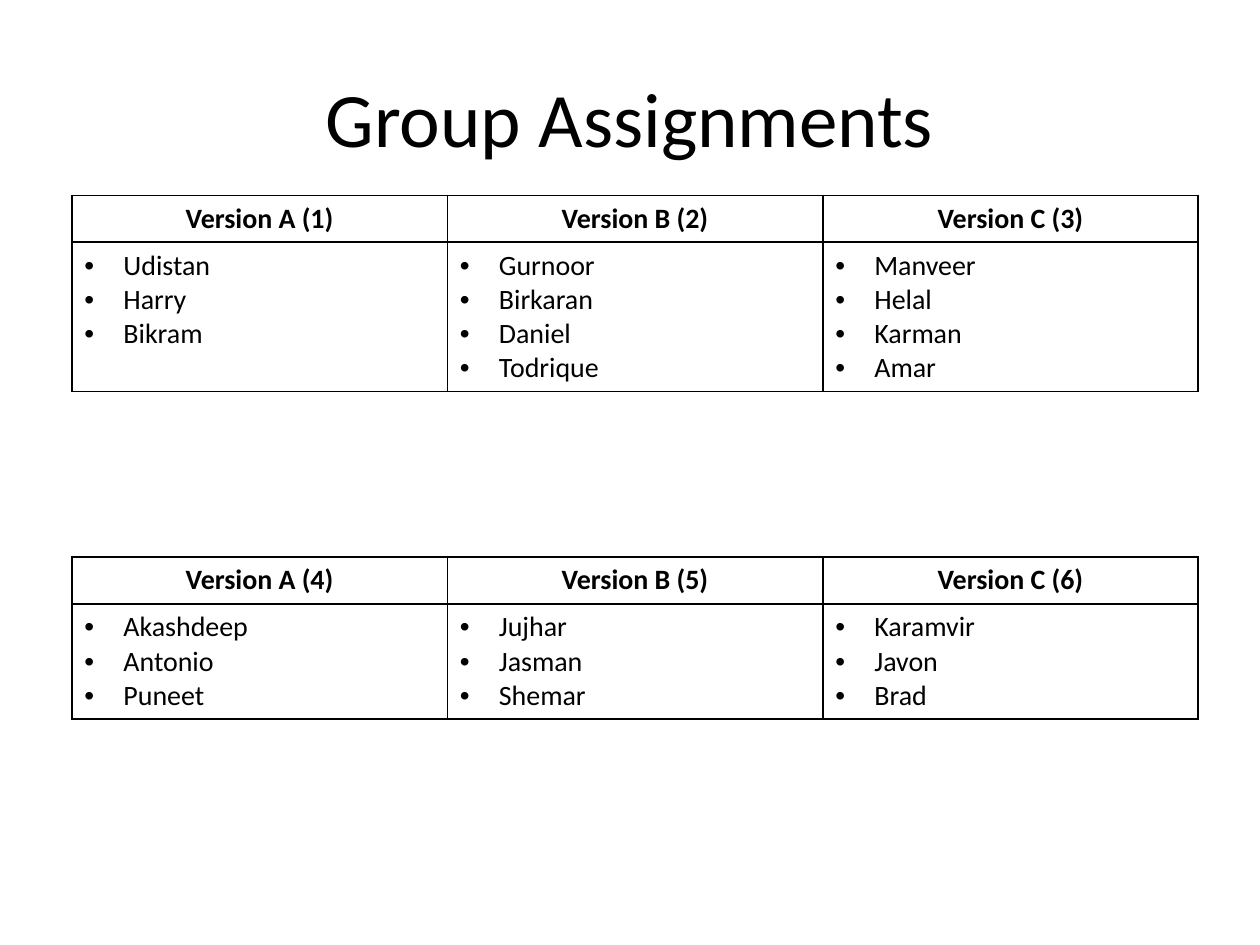
"""Build the group assignments slide with one table for each set of groups."""
from lxml import etree
from pptx import Presentation
from pptx import util as u
from pptx.dml import color
from pptx.enum import text
from pptx.oxml import ns

TITLE = "Group Assignments"
TABLES = [
    {"top": 1.55, "names_height": 1.17, "groups": [
        ("Version A (1)", ["Udistan", "Harry", "Bikram"]),
        ("Version B (2)", ["Gurnoor", "Birkaran", "Daniel", "Todrique"]),
        ("Version C (3)", ["Manveer", "Helal", "Karman", "Amar"]),
    ]},
    {"top": 4.42, "names_height": 0.9, "groups": [
        ("Version A (4)", ["Akashdeep", "Antonio", "Puneet"]),
        ("Version B (5)", ["Jujhar", "Jasman", "Shemar"]),
        ("Version C (6)", ["Karamvir", "Javon", "Brad"]),
    ]},
]
COLORS = {"ink": "000000"}
FONT = "Calibri"
LEFT, COLUMN_WIDTH, HEADER_HEIGHT, INDENT = 0.57, 2.98, 0.37, 0.31


def format_paragraph(paragraph, size, bold=False, align=text.PP_ALIGN.CENTER):
    paragraph.alignment = align
    for run in paragraph.runs:
        run.font.name = FONT
        run.font.size = u.Pt(size)
        run.font.bold = bold
        run.font.color.rgb = color.RGBColor.from_string(COLORS["ink"])


def add_bullet(paragraph):
    properties = paragraph._p.get_or_add_pPr()
    properties.set("marL", str(u.Inches(INDENT)))
    properties.set("indent", str(-u.Inches(INDENT)))
    etree.SubElement(properties, ns.qn("a:buFont"), typeface="Arial")
    etree.SubElement(properties, ns.qn("a:buChar"), char="•")


def format_cell(cell):
    properties = cell._tc.get_or_add_tcPr()
    for side in ("lnL", "lnR", "lnT", "lnB"):
        line = etree.SubElement(properties, ns.qn(f"a:{side}"), w=str(u.Pt(1)))
        fill = etree.SubElement(line, ns.qn("a:solidFill"))
        etree.SubElement(fill, ns.qn("a:srgbClr"), val=COLORS["ink"])
    cell.fill.background()


def add_group_table(slide, top, names_height, groups):
    table = slide.shapes.add_table(
        2, len(groups), u.Inches(LEFT), u.Inches(top),
        u.Inches(COLUMN_WIDTH * len(groups)),
        u.Inches(HEADER_HEIGHT + names_height)).table
    for row, height in zip(table.rows, (HEADER_HEIGHT, names_height)):
        row.height = u.Inches(height)
    for index, (heading, names) in enumerate(groups):
        table.columns[index].width = u.Inches(COLUMN_WIDTH)
        header, body = table.cell(0, index), table.cell(1, index)
        header.text_frame.text = heading
        format_paragraph(header.text_frame.paragraphs[0], 16, bold=True)
        body.text_frame.text = "\n".join(names)
        for paragraph in body.text_frame.paragraphs:
            format_paragraph(paragraph, 16, align=text.PP_ALIGN.LEFT)
            add_bullet(paragraph)
        format_cell(header)
        format_cell(body)


presentation = Presentation()
presentation.slide_width, presentation.slide_height = u.Inches(10), u.Inches(7.5)
slide = presentation.slides.add_slide(presentation.slide_layouts[5])

title = slide.shapes.title
title.left, title.top = u.Inches(0.5), u.Inches(0.3)
title.width, title.height = u.Inches(9), u.Inches(1.25)
title.text_frame.text = TITLE
title.text_frame.vertical_anchor = text.MSO_ANCHOR.MIDDLE
format_paragraph(title.text_frame.paragraphs[0], 44)

for group_table in TABLES:
    add_group_table(slide, **group_table)

presentation.save("out.pptx")
